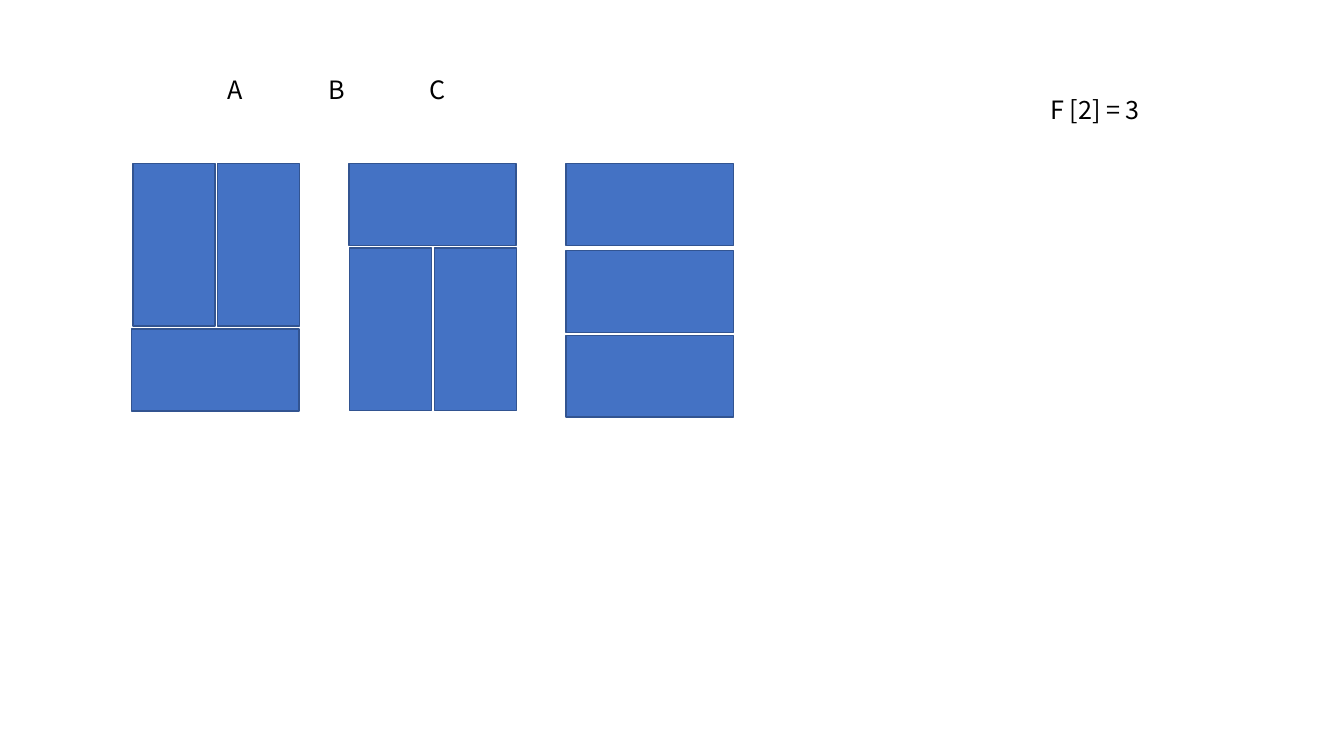
from pptx import Presentation
from pptx.dml.color import RGBColor
from pptx.enum.shapes import MSO_SHAPE
from pptx.enum.text import MSO_AUTO_SIZE
from pptx.util import Pt

RECTANGLE = MSO_SHAPE.RECTANGLE
GROW = MSO_AUTO_SIZE.SHAPE_TO_FIT_TEXT

BLUE = RGBColor(0x44, 0x72, 0xC4)
DARK_BLUE = RGBColor(0x32, 0x54, 0x91)
BLACK = RGBColor(0, 0, 0)
FONT = "Noto Sans CJK KR"

SHORT = 58.5    # short side of a domino
UPRIGHT = 116   # long side of a standing domino
FLAT = 119.5    # long side of a lying domino
PITCH = 60.5    # short side plus the gap to the next domino

TILINGS_LEFT, TILINGS_TOP, TILING_STEP = 94, 117, 155.2


def add_domino(slide, left, top, length, turned=False):
    """Place a domino by its visible top left corner, turned a quarter if it lies flat."""
    if turned:
        shift = (length - SHORT) / 2
        left, top = left + shift, top - shift
    domino = slide.shapes.add_shape(RECTANGLE, Pt(left), Pt(top), Pt(SHORT), Pt(length))
    domino.rotation = 90 if turned else 0
    domino.shadow.inherit = False
    domino.fill.solid()
    domino.fill.fore_color.rgb = BLUE
    domino.line.color.rgb = DARK_BLUE
    domino.line.width = Pt(1)


def add_upright_pair(slide, left, top):
    for column in range(2):
        add_domino(slide, left + column * PITCH, top, UPRIGHT)


def add_flat(slide, left, top):
    add_domino(slide, left, top, FLAT, turned=True)


def add_tiling_a(slide, left, top):
    add_upright_pair(slide, left + 1, top)
    add_flat(slide, left, top + UPRIGHT + 2)


def add_tiling_b(slide, left, top):
    add_upright_pair(slide, left + 0.6, top + PITCH - 0.4)
    add_flat(slide, left, top)


def add_tiling_c(slide, left, top):
    for offset in (0, PITCH + 1.5, 2 * PITCH + 1.5):
        add_flat(slide, left, top + offset)


def add_label(slide, wording, left, top, width, height):
    label = slide.shapes.add_textbox(Pt(left), Pt(top), Pt(width), Pt(height))
    frame = label.text_frame
    frame.word_wrap = False
    frame.auto_size = GROW
    run = frame.paragraphs[0].add_run()
    run.text = wording
    run.font.name = FONT
    run.font.size = Pt(18)
    run.font.color.rgb = BLACK


def add_tilings_slide(deck):
    slide = deck.slides.add_slide(deck.slide_layouts[6])
    for index, add_tiling in enumerate((add_tiling_a, add_tiling_b, add_tiling_c)):
        add_tiling(slide, TILINGS_LEFT + index * TILING_STEP, TILINGS_TOP)
    add_label(slide, "A\t\tB \t\tC", 155.5, 49.7, 316.8, 29)
    add_label(slide, "F [2] = 3", 743, 64, 86.4, 29)


def main():
    deck = Presentation()
    deck.slide_width, deck.slide_height = Pt(960), Pt(540)
    add_tilings_slide(deck)
    deck.save("out.pptx")


if __name__ == "__main__":
    main()
